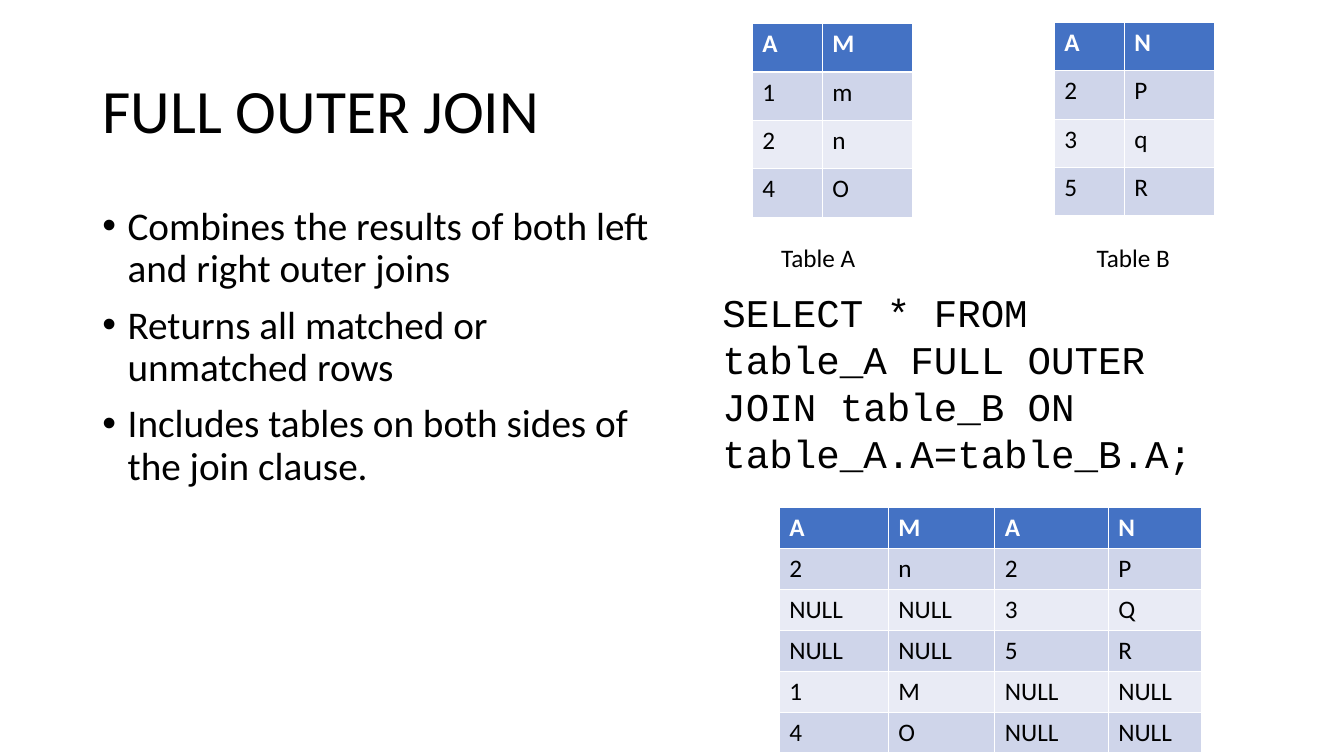
from pptx import Presentation
from pptx.dml.color import RGBColor
from pptx.enum.shapes import MSO_SHAPE
from pptx.enum.text import MSO_ANCHOR, MSO_AUTO_SIZE, PP_ALIGN
from pptx.util import Pt

COLORS = {
    "text": "000000",
    "header_text": "FFFFFF",
    "header": "4472C4",
    "odd_row": "CFD5EA",
    "even_row": "E9EBF5",
    "query_fill": "FFFFFF",
}
BODY_FONT, CODE_FONT = "Calibri", "Courier New"

POINTS = [
    "Combines the results of both left and right outer joins",
    "Returns all matched or unmatched rows",
    "Includes tables on both sides of the join clause.",
]
QUERY = "SELECT * FROM table_A FULL OUTER JOIN table_B ON table_A.A=table_B.A;"
TABLE_A = ["A M", "1 m", "2 n", "4 O"]
TABLE_B = ["A N", "2 P", "3 q", "5 R"]
JOINED = ["A M A N", "2 n 2 P", "NULL NULL 3 Q", "NULL NULL 5 R",
          "1 M NULL NULL", "4 O NULL NULL"]


def color(name):
    return RGBColor.from_string(COLORS[name])


def style_text(frame, size, font=BODY_FONT, ink="text", bold=False):
    for paragraph in frame.paragraphs:
        paragraph.alignment = PP_ALIGN.LEFT
        for run in paragraph.runs:
            run.font.size = Pt(size)
            run.font.name = font
            run.font.bold = bold
            run.font.color.rgb = color(ink)


def place(placeholder, left, top, width, height):
    placeholder.left, placeholder.top = Pt(left), Pt(top)
    placeholder.width, placeholder.height = Pt(width), Pt(height)


def fill_title(title, text):
    place(title, 66, 28.8, 828, 104.4)
    frame = title.text_frame
    frame.text = text
    frame.auto_size = MSO_AUTO_SIZE.NONE
    frame.vertical_anchor = MSO_ANCHOR.MIDDLE
    frame.paragraphs[0].line_spacing = 0.9
    style_text(frame, 44)


def fill_points(body, points):
    place(body, 66, 144, 408.2, 342.7)
    frame = body.text_frame
    frame.text = "\n".join(points)
    frame.auto_size = MSO_AUTO_SIZE.NONE
    for paragraph in frame.paragraphs:
        paragraph.line_spacing = 0.9
        paragraph.space_before = Pt(10)
        # The bullet itself comes from the body placeholder
        properties = paragraph._p.get_or_add_pPr()
        properties.set("marL", str(Pt(18)))
        properties.set("indent", str(-Pt(18)))
    style_text(frame, 28)


def add_query(slide, text):
    query = slide.shapes.add_shape(
        MSO_SHAPE.RECTANGLE, Pt(509), Pt(201.6), Pt(366.5), Pt(143.3))
    query.shadow.inherit = False
    query.fill.solid()
    query.fill.fore_color.rgb = color("query_fill")
    query.line.fill.background()
    frame = query.text_frame
    frame.text = text
    frame.word_wrap = True
    frame.auto_size = MSO_AUTO_SIZE.SHAPE_TO_FIT_TEXT
    frame.vertical_anchor = MSO_ANCHOR.MIDDLE
    style_text(frame, 28, CODE_FONT)


def add_data_table(slide, records, left, top, column_widths, row_height):
    # The default table style draws the white grid lines
    table = slide.shapes.add_table(
        len(records), len(column_widths), Pt(left), Pt(top),
        Pt(sum(column_widths)), Pt(row_height * len(records))).table
    for column, width in zip(table.columns, column_widths):
        column.width = Pt(width)
    for index, record in enumerate(records):
        table.rows[index].height = Pt(row_height)
        is_header = index == 0
        band = "header" if is_header else ("odd_row" if index % 2 else "even_row")
        for cell, value in zip(table.rows[index].cells, record.split()):
            cell.text_frame.text = value
            cell.fill.solid()
            cell.fill.fore_color.rgb = color(band)
            style_text(cell.text_frame, 18,
                       ink="header_text" if is_header else "text", bold=is_header)


def add_caption(slide, text, left):
    caption = slide.shapes.add_textbox(Pt(left), Pt(169.2), Pt(68), Pt(29))
    frame = caption.text_frame
    frame.text = text
    frame.word_wrap = False
    frame.auto_size = MSO_AUTO_SIZE.SHAPE_TO_FIT_TEXT
    style_text(frame, 18)


def main():
    presentation = Presentation()
    presentation.slide_width, presentation.slide_height = Pt(960), Pt(540)
    slide = presentation.slides.add_slide(presentation.slide_layouts[1])

    # Explanation
    fill_title(slide.shapes.title, "FULL OUTER JOIN")
    fill_points(slide.placeholders[1], POINTS)

    # Query
    add_query(slide, QUERY)

    # Source tables with captions
    add_data_table(slide, TABLE_A, 537.3, 16.9, [50, 64.3], 34.56)
    add_data_table(slide, TABLE_B, 753.1, 16, [50, 64.3], 34.56)
    add_caption(slide, "Table A", 550.8)
    add_caption(slide, "Table B", 776.2)

    # Join result
    add_data_table(slide, JOINED, 556.6, 362.7, [78, 76, 81, 67], 29.2)

    presentation.save("out.pptx")


if __name__ == "__main__":
    main()
